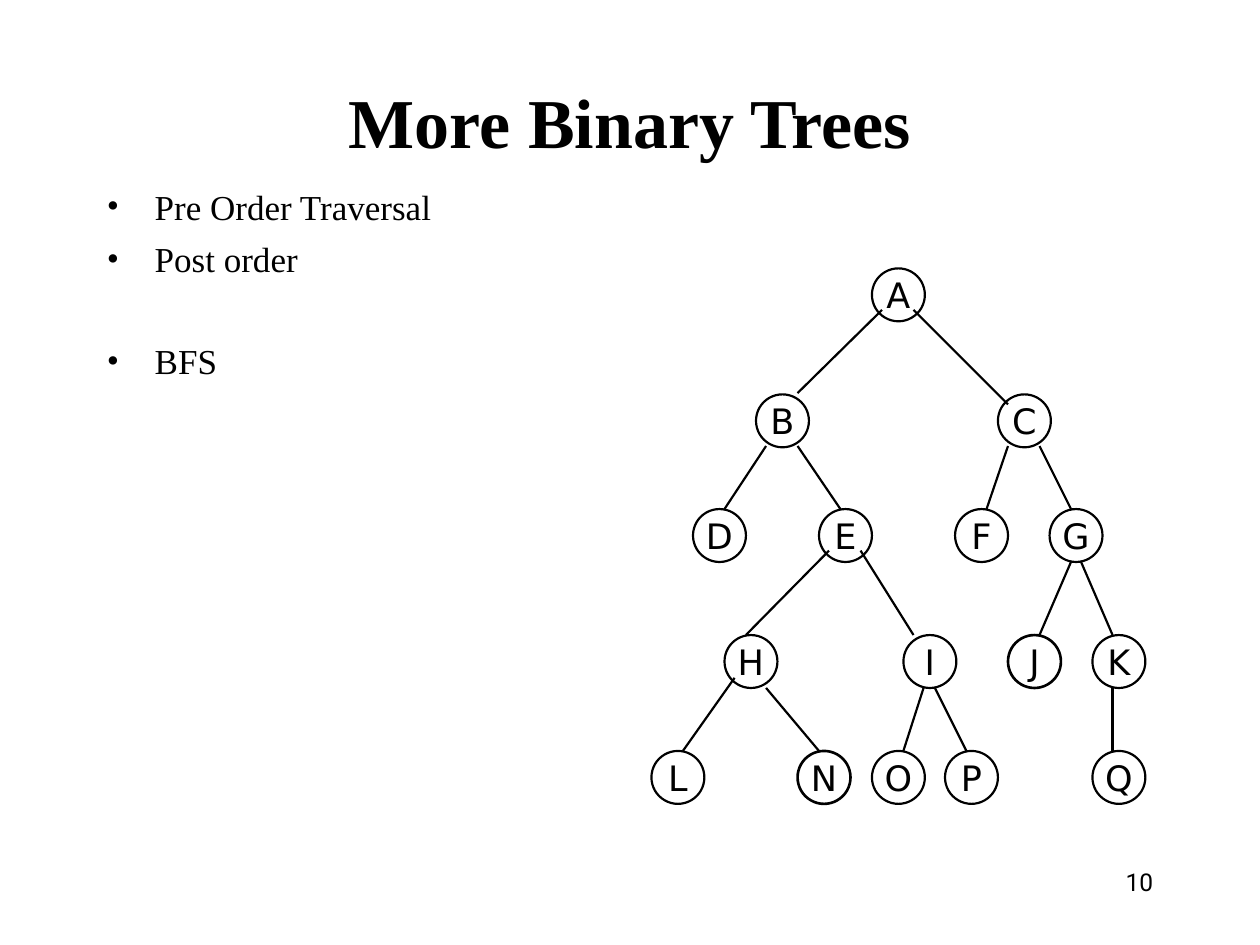
from pptx import Presentation
from pptx.util import Inches, Pt
from pptx.dml.color import RGBColor
from pptx.enum.shapes import MSO_SHAPE, MSO_CONNECTOR
from pptx.enum.text import PP_ALIGN as AL, MSO_ANCHOR as AN
from pptx.oxml.ns import qn
from lxml.etree import SubElement

COLORS = {"ink": "000000", "paper": "FFFFFF"}
SERIF, SANS, NUMBER = "Times New Roman", "DejaVu Sans", "Roboto"
NODE = 0.42

ROWS = [
    (2.13, {"A": 6.92}),
    (3.13, {"B": 6, "C": 7.92}),
    (4.04, {"D": 5.5, "E": 6.5, "F": 7.58, "G": 8.33}),
    (5.04, {"H": 5.75, "I": 7.17, "J": 8, "K": 8.67}),
    (5.96, {"L": 5.17, "N": 6.33, "O": 6.92, "P": 7.5, "Q": 8.67}),
]
HEAVY = "JN"
EDGES = [
    (7, 2.46, 6.33, 3.12), (7.25, 2.46, 8, 3.21),
    (6.08, 3.54, 5.75, 4.04), (6.33, 3.54, 6.67, 4.04),
    (8, 3.54, 7.83, 4.04), (8.25, 3.54, 8.5, 4.04),
    (6.58, 4.37, 5.92, 5.04), (6.83, 4.37, 7.25, 5.04),
    (8.5, 4.46, 8.25, 5.04), (8.58, 4.46, 8.83, 5.04),
    (5.83, 5.38, 5.42, 5.96), (6.08, 5.46, 6.5, 5.96),
    (7.33, 5.46, 7.17, 5.96), (7.42, 5.46, 7.67, 5.96),
    (8.83, 5.46, 8.83, 5.96),
]
BULLETS = [("Pre Order Traversal", 5.8), ("Post order", 5.8), ("BFS", 34.6)]


class Deck:
    def __init__(self, prs):
        self.s = prs.slides.add_slide(prs.slide_layouts[6])
        self.s.background.fill.solid()
        self.s.background.fill.fore_color.rgb = self.color("paper")
        self.tree = self.s.shapes.add_group_shape()

    def color(self, name):
        return RGBColor.from_string(COLORS[name])

    def run(self, p, text, size, font, bold=False):
        r = p.add_run()
        r.text = text
        r.font.size, r.font.name, r.font.bold = Pt(size), font, bold
        r.font.color.rgb = self.color("ink")

    def box(self, x, y, w, h, anchor=AN.TOP):
        tf = self.s.shapes.add_textbox(*map(Inches, (x, y, w, h))).text_frame
        tf.word_wrap = True
        tf.vertical_anchor = anchor
        return tf

    def text(self, box, text, size, font, align, anchor=AN.TOP, bold=False):
        p = self.box(*box, anchor).paragraphs[0]
        p.alignment = align
        self.run(p, text, size, font, bold)

    def bullets(self, box, items, size, font):
        tf = self.box(*box)
        for i, (text, before) in enumerate(items):
            p = tf.add_paragraph() if i else tf.paragraphs[0]
            p.space_before = Pt(before)
            pPr = p._p.get_or_add_pPr()
            pPr.set("marL", str(Inches(0.38)))
            pPr.set("indent", str(-Inches(0.38)))
            SubElement(pPr, qn("a:buFont"), typeface=font)
            SubElement(pPr, qn("a:buChar"), char="•")
            self.run(p, text, size, font)

    def node(self, label, x, y, weight):
        sp = self.tree.shapes.add_shape(
            MSO_SHAPE.OVAL, *map(Inches, (x, y, NODE, NODE)))
        sp.shadow.inherit = False
        sp.fill.background()
        sp.line.color.rgb = self.color("ink")
        sp.line.width = Pt(weight)
        tf = sp.text_frame
        tf.word_wrap = False
        tf.vertical_anchor = AN.MIDDLE
        p = tf.paragraphs[0]
        p.alignment = AL.CENTER
        self.run(p, label, 20, SANS)

    def edge(self, *ends):
        ln = self.tree.shapes.add_connector(
            MSO_CONNECTOR.STRAIGHT, *map(Inches, ends))
        ln.line.color.rgb = self.color("ink")
        ln.line.width = Pt(1.25)
        SubElement(ln._element.spPr, qn("a:effectLst"))


prs = Presentation()
prs.slide_width, prs.slide_height = Inches(10), Inches(7.5)
deck = Deck(prs)
deck.text((7.17, 6.83, 2.08, 0.5), "10", 14, NUMBER, AL.RIGHT)
deck.text((0.75, 0.67, 8.5, 0.58), "More Binary Trees", 40, SERIF,
          AL.CENTER, AN.MIDDLE, True)
deck.bullets((0.75, 1.42, 8.5, 5.25), BULLETS, 20, SERIF)
for y, row in ROWS:
    for label, x in row.items():
        deck.node(label, x, y, 1.5 if label in HEAVY else 1.25)
for ends in EDGES:
    deck.edge(*ends)
prs.save("out.pptx")
